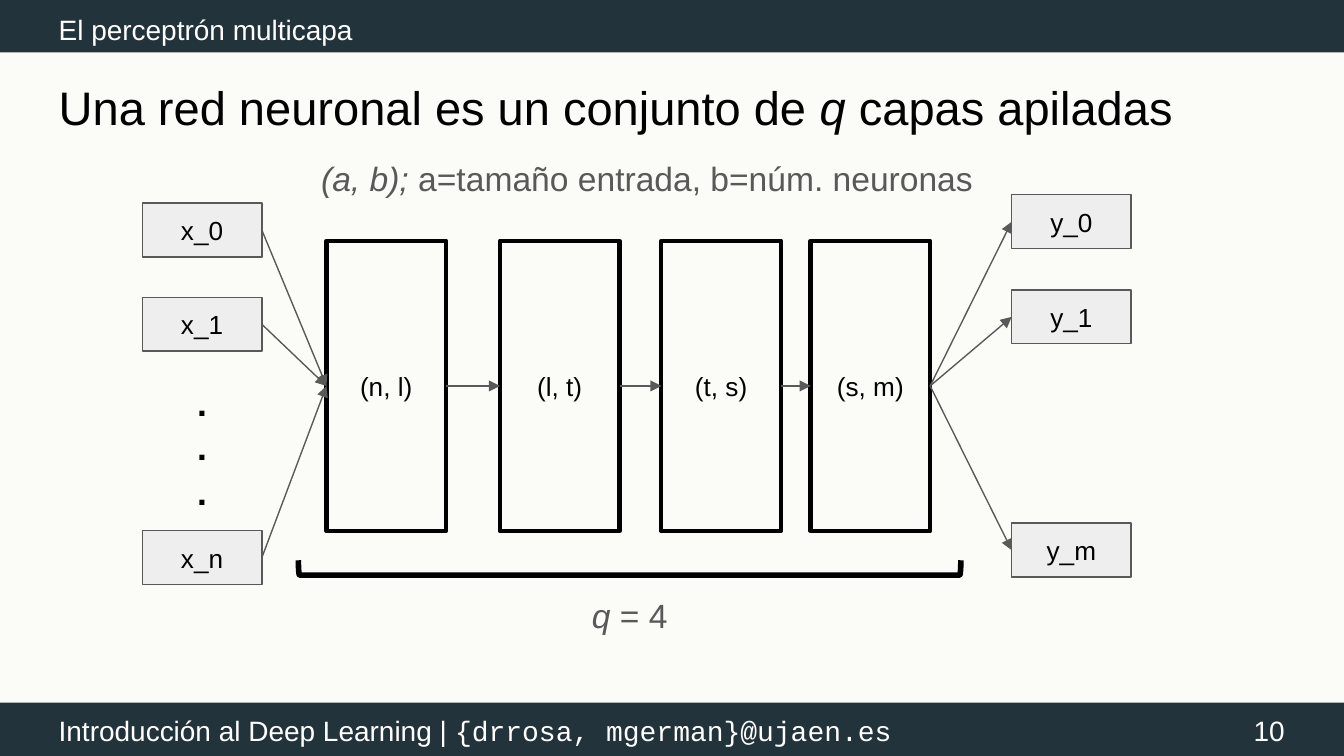
from itertools import pairwise

from lxml.etree import SubElement
from pptx import Presentation
from pptx.dml.color import RGBColor
from pptx.enum.shapes import MSO_CONNECTOR, MSO_SHAPE
from pptx.enum.text import MSO_ANCHOR, PP_ALIGN
from pptx.oxml.ns import qn
from pptx.util import Cm, Pt

BACKGROUND = RGBColor(0xFB, 0xFC, 0xF7)
BAND = RGBColor(0x23, 0x33, 0x3C)
NODE_FILL = RGBColor(0xEE, 0xEE, 0xEE)
GRAY = RGBColor(0x59, 0x59, 0x59)
BLACK = RGBColor(0, 0, 0)
WHITE = RGBColor(0xFF, 0xFF, 0xFF)

BOX_WIDTH = 2.26
NODE_HEIGHT = 1.02
LAYER_TOP = 4.55
LAYER_HEIGHT = 5.49
LEFT_SITE, RIGHT_SITE = 1, 3


def set_frame(frame, anchor):
    frame.word_wrap = True
    frame.vertical_anchor = anchor
    frame.margin_left = frame.margin_right = Cm(0.25)
    frame.margin_top = frame.margin_bottom = Cm(0.25)


def format_span(span, size, color, font="Arial", italic=False):
    span.font.name = font
    span.font.size = Pt(size)
    span.font.color.rgb = color
    span.font.italic = italic


def add_text(page, place, spans, size, color, align=PP_ALIGN.LEFT, anchor=MSO_ANCHOR.TOP):
    box = page.shapes.add_textbox(*map(Cm, place))
    set_frame(box.text_frame, anchor)
    para = box.text_frame.paragraphs[0]
    para.alignment = align
    for text, style in spans:
        span = para.add_run()
        span.text = text
        format_span(span, size, color, **style)
    return para


def add_band(page, top):
    band = page.shapes.add_shape(MSO_SHAPE.RECTANGLE, Cm(-0.05), Cm(top), Cm(25.5), Cm(1.04))
    band.shadow.inherit = False
    band.fill.solid()
    band.fill.fore_color.rgb = BAND
    band.line.fill.background()


def add_outline(page, kind, place, color, width):
    shape = page.shapes.add_shape(kind, *map(Cm, place))
    shape.shadow.inherit = False
    shape.fill.background()
    shape.line.color.rgb = color
    shape.line.width = Pt(width)
    SubElement(shape.line._get_or_add_ln(), qn("a:round"))
    return shape


def add_label(shape, text):
    set_frame(shape.text_frame, MSO_ANCHOR.MIDDLE)
    shape.text_frame.text = text
    para = shape.text_frame.paragraphs[0]
    para.alignment = PP_ALIGN.CENTER
    format_span(para.runs[0], 14, BLACK)


def add_node(page, left, top, text):
    place = (left, top, BOX_WIDTH, NODE_HEIGHT)
    node = add_outline(page, MSO_SHAPE.RECTANGLE, place, GRAY, 0.75)
    node.fill.solid()
    node.fill.fore_color.rgb = NODE_FILL
    add_label(node, text)
    return node


def add_layer(page, left, text):
    place = (left, LAYER_TOP, BOX_WIDTH, LAYER_HEIGHT)
    layer = add_outline(page, MSO_SHAPE.RECTANGLE, place, BLACK, 2.25)
    add_label(layer, text)
    return layer


def add_arrow(page, source, target):
    arrow = page.shapes.add_connector(MSO_CONNECTOR.STRAIGHT, 0, 0, 0, 0)
    arrow.begin_connect(source, RIGHT_SITE)
    arrow.end_connect(target, LEFT_SITE)
    arrow.line.color.rgb = GRAY
    arrow.line.width = Pt(0.75)
    SubElement(arrow.line._get_or_add_ln(), qn("a:tailEnd"), type="triangle")
    SubElement(arrow._element.spPr, qn("a:effectLst"))


def add_dots(page):
    box = page.shapes.add_textbox(Cm(2.69), Cm(6.91), Cm(BOX_WIDTH), Cm(2.95))
    set_frame(box.text_frame, MSO_ANCHOR.TOP)
    box.text_frame.text = "\n".join("...")
    for para in box.text_frame.paragraphs:
        para.alignment = PP_ALIGN.CENTER
        para.line_spacing = 1.05
        format_span(para.runs[0], 19, BLACK)
        para.runs[0].font.bold = True


def add_bracket(page):
    place = (11.76, 4.47, 0.28, 12.52)
    bracket = add_outline(page, MSO_SHAPE.LEFT_BRACKET, place, BLACK, 3)
    bracket.adjustments[0] = 0.08
    bracket.rotation = 270


def add_network(page):
    inputs = [add_node(page, 2.69, top, text)
              for top, text in ((3.84, "x_0"), (5.62, "x_1"), (10.03, "x_n"))]
    add_dots(page)
    layers = [add_layer(page, left, text)
              for left, text in ((6.17, "(n, l)"), (9.45, "(l, t)"),
                                 (12.5, "(t, s)"), (15.32, "(s, m)"))]
    outputs = [add_node(page, 19.12, top, text)
               for top, text in ((3.68, "y_0"), (5.48, "y_1"), (9.89, "y_m"))]
    links = [(node, layers[0]) for node in inputs]
    links += pairwise(layers)
    links += [(layers[-1], node) for node in outputs]
    for source, target in links:
        add_arrow(page, source, target)
    add_bracket(page)


def main():
    deck = Presentation()
    deck.slide_width = Cm(25.4)
    deck.slide_height = Cm(14.29)
    page = deck.slides.add_slide(deck.slide_layouts[6])
    page.background.fill.solid()
    page.background.fill.fore_color.rgb = BACKGROUND
    italic = {"italic": True}

    add_band(page, 13.28)
    add_text(page, (0.86, 13.23, 18.26, 1.14),
             [("Introducción al Deep Learning | ", {}),
              ("{drrosa, mgerman}@ujaen.es", {"font": "Courier New"})], 15, WHITE)
    add_band(page, -0.05)
    add_text(page, (0.86, 1.24, 23.67, 1.6),
             [("Una red neuronal es un conjunto de ", {}), ("q ", italic),
              ("capas apiladas", {})], 25.2, BLACK)
    add_text(page, (23.01, 13.26, 1.52, 1.09), [("10", {})], 15, WHITE,
             PP_ALIGN.RIGHT, MSO_ANCHOR.MIDDLE)
    header = add_text(page, (0.86, -0.1, 20.5, 1.14),
                      [("El perceptrón multicapa", {})], 15, WHITE)
    header.line_spacing = 1.15

    add_network(page)
    add_text(page, (5.64, 11, 12.52, 1.27), [("q ", italic), ("= 4", {})],
             18, GRAY, PP_ALIGN.CENTER)
    add_text(page, (5.64, 2.74, 13.18, 1.27),
             [("(a, b); ", italic), ("a=tamaño entrada, b=núm. neuronas", {})],
             18, GRAY, PP_ALIGN.CENTER)
    deck.save("out.pptx")


if __name__ == "__main__":
    main()
